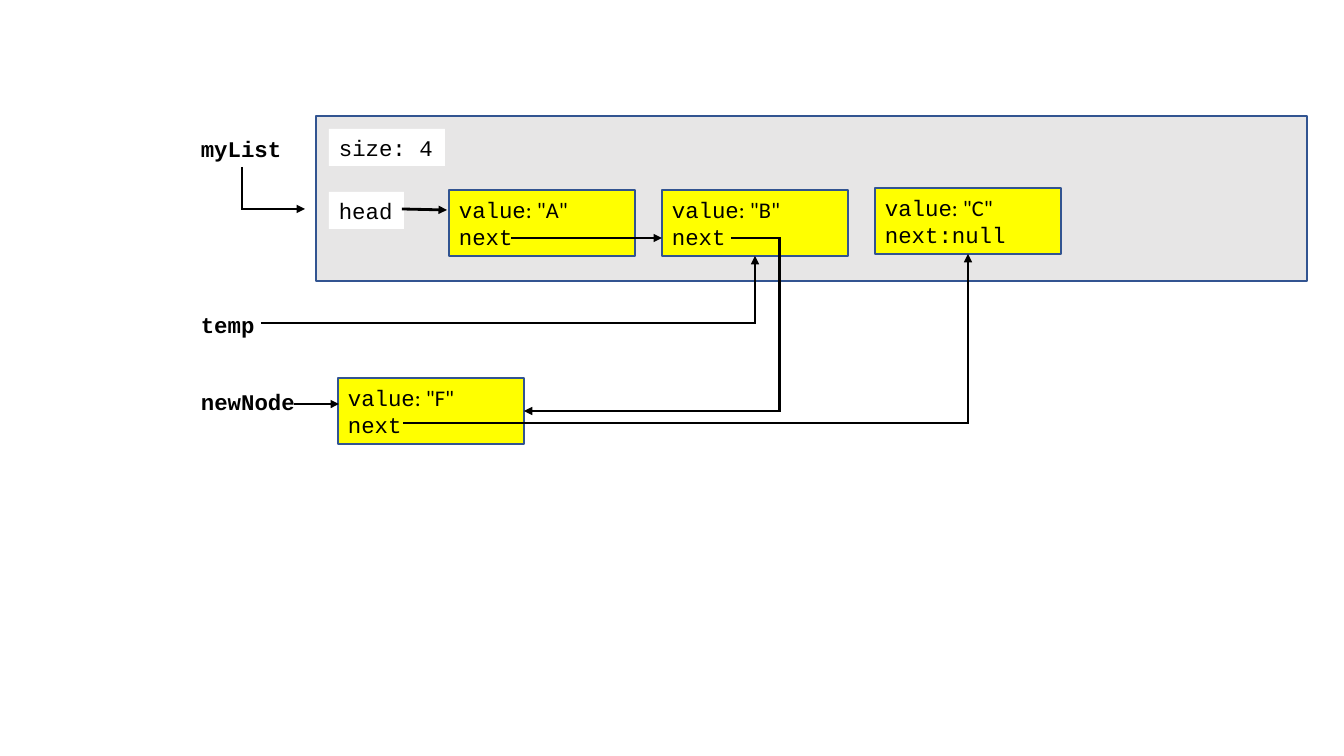
"""Draw a linked list with a new node being inserted after node B."""
import dataclasses
import typing

import lxml.etree
import pptx
import pptx.dml.color
import pptx.enum.shapes
import pptx.enum.text
import pptx.oxml.ns
import pptx.util

EMU_PER_PIXEL = 12192000 / 1344
CODE_FONT, VALUE_FONT = "Courier New", "Calibri"
BLACK, WHITE, YELLOW, GRAY, BLUE = "000000", "FFFFFF", "FFFF00", "E7E6E6", "325491"
NODE_WIDTH, NODE_HEIGHT, NODE_PITCH = 186, 66, 213
FIRST_NODE_LEFT = 449
LABEL_HEIGHT = 37
ANCHOR = pptx.enum.text.MSO_ANCHOR
LABEL_FORMAT = {"word_wrap": False, "vertical_anchor": ANCHOR.TOP,
                "auto_size": pptx.enum.text.MSO_AUTO_SIZE.SHAPE_TO_FIT_TEXT}
NODE_FORMAT = {"word_wrap": True, "vertical_anchor": ANCHOR.MIDDLE}


@dataclasses.dataclass(frozen=True)
class Label:
    text: str
    left: int
    top: int
    width: int
    bold: bool = False
    fill: typing.Optional[str] = WHITE


@dataclasses.dataclass(frozen=True)
class Node:
    value: str
    link: str
    left: int
    top: int


@dataclasses.dataclass(frozen=True)
class Arrow:
    start: tuple[int, int]
    end: tuple[int, int]
    preset: str = "line"
    down_first: bool = False
    bend: typing.Optional[int] = None


LABELS = [
    Label("myList", 191, 130, 102, bold=True, fill=None),
    Label("size: 4", 329, 129, 116),
    Label("head", 329, 192, 75),
    Label("temp", 191, 306, 75, bold=True),
    Label("newNode", 191, 383, 116, bold=True),
]
NODES = [
    Node("A", "next", FIRST_NODE_LEFT, 190),
    Node("B", "next", FIRST_NODE_LEFT + NODE_PITCH, 190),
    Node("C", "next:null", FIRST_NODE_LEFT + 2 * NODE_PITCH, 188),
    Node("F", "next", 338, 378),
]
ARROWS = [
    Arrow((402, 209), (447, 210)),
    Arrow((511, 238), (662, 238)),
    Arrow((294, 404), (339, 404)),
    Arrow((242, 167), (305, 209), "bentConnector2", down_first=True),
    Arrow((261, 323), (755, 256), "bentConnector2"),
    Arrow((403, 423), (968, 254), "bentConnector2"),
    Arrow((731, 238), (524, 411), "bentConnector3", bend=-23500),
]


def pixels(*lengths: float) -> list[int]:
    """Turn pixel lengths into EMU."""
    return [round(length * EMU_PER_PIXEL) for length in lengths]


def color(code: str) -> pptx.dml.color.RGBColor:
    """Turn a hex string into a colour."""
    return pptx.dml.color.RGBColor.from_string(code)


def apply(target: typing.Any, values: dict) -> None:
    """Set each named attribute on the target."""
    for name, value in values.items():
        setattr(target, name, value)


def add_span(para: typing.Any, text: str, font: str = CODE_FONT, bold: bool = False) -> None:
    """Append a black run to a paragraph."""
    span = para.add_run()
    span.text = text
    apply(span.font, {"name": font, "size": pptx.util.Pt(16), "bold": bold})
    span.font.color.rgb = color(BLACK)


def add_panel(page: typing.Any, left: int, top: int, width: int, height: int, fill: str) -> typing.Any:
    """Add a filled rectangle with a thin blue outline."""
    box = page.shapes.add_shape(pptx.enum.shapes.MSO_SHAPE.RECTANGLE,
                                *pixels(left, top, width, height))
    box.shadow.inherit = False
    box.fill.solid()
    box.fill.fore_color.rgb = color(fill)
    box.line.color.rgb = color(BLUE)
    box.line.width = pptx.util.Pt(1)
    return box


def add_label(page: typing.Any, label: Label) -> None:
    """Add a one-line code label."""
    box = page.shapes.add_textbox(*pixels(label.left, label.top, label.width, LABEL_HEIGHT))
    if label.fill:
        box.fill.solid()
        box.fill.fore_color.rgb = color(label.fill)
    apply(box.text_frame, LABEL_FORMAT)
    add_span(box.text_frame.paragraphs[0], label.text, bold=label.bold)


def add_node(page: typing.Any, node: Node) -> None:
    """Add a list node with its value and next lines."""
    box = add_panel(page, node.left, node.top, NODE_WIDTH, NODE_HEIGHT, YELLOW)
    frame = box.text_frame
    apply(frame, NODE_FORMAT)
    value_para, link_para = frame.paragraphs[0], frame.add_paragraph()
    for para in (value_para, link_para):
        para.alignment = pptx.enum.text.PP_ALIGN.LEFT
    add_span(value_para, "value")
    add_span(value_para, f': "{node.value}"', VALUE_FONT)
    add_span(link_para, node.link)


def add_arrow(page: typing.Any, arrow: Arrow) -> None:
    """Add a straight or bent arrow."""
    (x1, y1), (x2, y2) = arrow.start, arrow.end
    if arrow.down_first:
        middle_x, middle_y = (x1 + x2) / 2, (y1 + y2) / 2
        half_width, half_height = (y2 - y1) / 2, (x2 - x1) / 2
        x1, x2 = middle_x + half_width, middle_x - half_width
        y1, y2 = middle_y - half_height, middle_y + half_height
    connector = page.shapes.add_connector(pptx.enum.shapes.MSO_CONNECTOR.STRAIGHT,
                                          *pixels(x1, y1, x2, y2))
    connector.line.color.rgb = color(BLACK)
    connector.line.width = pptx.util.Pt(2)
    qn = pptx.oxml.ns.qn
    properties = connector.element.spPr
    if arrow.down_first:
        properties.find(qn("a:xfrm")).set("rot", "16200000")
    geometry = properties.find(qn("a:prstGeom"))
    geometry.set("prst", arrow.preset)
    if arrow.bend is not None:
        lxml.etree.SubElement(geometry.find(qn("a:avLst")), qn("a:gd"),
                              name="adj1", fmla=f"val {arrow.bend}")
    outline = properties.find(qn("a:ln"))
    lxml.etree.SubElement(outline, qn("a:miter"), lim="800000")
    lxml.etree.SubElement(outline, qn("a:tailEnd"), type="triangle")
    lxml.etree.SubElement(properties, qn("a:effectLst"))


def main() -> None:
    """Build and save the slide."""
    deck = pptx.Presentation()
    deck.slide_width, deck.slide_height = pixels(1344, 756)
    page = deck.slides.add_slide(deck.slide_layouts[6])
    add_panel(page, 316, 116, 991, 165, GRAY)
    for items, draw in ((LABELS, add_label), (NODES, add_node), (ARROWS, add_arrow)):
        for item in items:
            draw(page, item)
    deck.save("out.pptx")


main()
